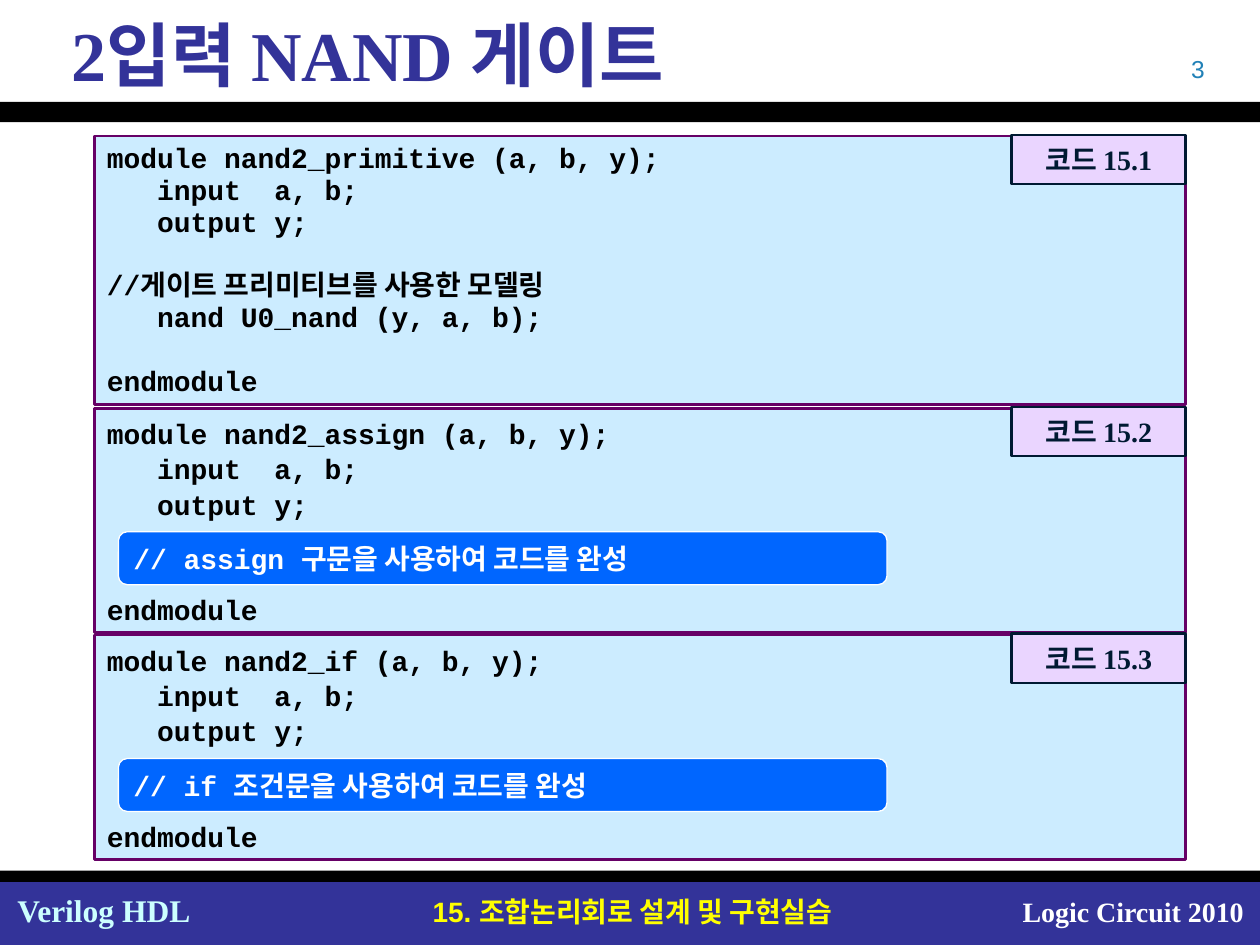
from dataclasses import dataclass
from typing import Optional

from pptx import Presentation
from pptx.dml.color import RGBColor
from pptx.enum.shapes import MSO_SHAPE
from pptx.enum.text import MSO_ANCHOR, PP_ALIGN
from pptx.util import Inches, Pt

RECT, ROUNDED = MSO_SHAPE.RECTANGLE, MSO_SHAPE.ROUNDED_RECTANGLE
LEFT, CENTER, RIGHT = PP_ALIGN.LEFT, PP_ALIGN.CENTER, PP_ALIGN.RIGHT
TOP, MIDDLE = MSO_ANCHOR.TOP, MSO_ANCHOR.MIDDLE

SANS, MONO, SERIF = "Arial", "Courier New", "Times New Roman"

BLACK = RGBColor(0x00, 0x00, 0x00)
WHITE = RGBColor(0xFF, 0xFF, 0xFF)
INDIGO = RGBColor(0x33, 0x33, 0x99)
YELLOW = RGBColor(0xFF, 0xFF, 0x00)
PALE_CYAN = RGBColor(0xCC, 0xFF, 0xFF)
TEAL = RGBColor(0x21, 0x81, 0xB7)
SKY = RGBColor(0xCC, 0xEC, 0xFF)
PURPLE = RGBColor(0x66, 0x00, 0x66)
LILAC = RGBColor(0xEA, 0xD5, 0xFF)
NAVY = RGBColor(0x00, 0x19, 0x32)
BLUE = RGBColor(0x00, 0x66, 0xFF)


@dataclass(frozen=True)
class Line:
    text: str
    gap_before: float = 0


@dataclass(frozen=True)
class Listing:
    number: str
    top: float
    height: float
    spacing: float
    lines: tuple[Line, ...]
    task: Optional[str] = None


PORTS = (Line("   input  a, b;"), Line("   output y;"))

LISTINGS = (
    Listing("15.1", 1.08, 2.13, 0.95, (
        Line("module nand2_primitive (a, b, y);"),
        *PORTS,
        Line("//게이트 프리미티브를 사용한 모델링", 18),
        Line("   nand U0_nand (y, a, b);"),
        Line("endmodule", 18),
    )),
    Listing("15.2", 3.24, 1.78, 1.05, (
        Line("module nand2_assign (a, b, y);"),
        *PORTS,
        Line("endmodule", 40),
    ), "// assign 구문을 사용하여 코드를 완성"),
    Listing("15.3", 5.04, 1.78, 1.05, (
        Line("module nand2_if (a, b, y);"),
        *PORTS,
        Line("endmodule", 40),
    ), "// if 조건문을 사용하여 코드를 완성"),
)


def write(holder, *lines: Line, font: str, color: RGBColor, size: float = 16,
          bold: bool = True, align=LEFT, anchor=MIDDLE, spacing: float = 1,
          inset_left: float = 0.1, inset_right: float = 0.1) -> None:
    frame = holder.text_frame
    frame.word_wrap = True
    frame.vertical_anchor = anchor
    frame.margin_left, frame.margin_right = Inches(inset_left), Inches(inset_right)
    frame.margin_top = frame.margin_bottom = Inches(0.05)
    for index, line in enumerate(lines):
        paragraph = frame.add_paragraph() if index else frame.paragraphs[0]
        paragraph.alignment = align
        paragraph.line_spacing = spacing
        paragraph.space_before = Pt(line.gap_before)
        run = paragraph.add_run()
        run.text = line.text
        run.font.name = font
        run.font.size = Pt(size)
        run.font.bold = bold
        run.font.color.rgb = color


def add_block(slide, left: float, top: float, width: float, height: float,
              fill: RGBColor, border: Optional[RGBColor] = None,
              border_width: float = 1.5, kind=RECT):
    block = slide.shapes.add_shape(
        kind, Inches(left), Inches(top), Inches(width), Inches(height))
    block.shadow.inherit = False
    block.fill.solid()
    block.fill.fore_color.rgb = fill
    if border is None:
        block.line.fill.background()
    else:
        block.line.color.rgb = border
        block.line.width = Pt(border_width)
    return block


def add_label(slide, left: float, top: float, width: float, height: float,
              text: str, **text_format) -> None:
    label = slide.shapes.add_textbox(
        Inches(left), Inches(top), Inches(width), Inches(height))
    write(label, Line(text), **text_format)


def add_listing(slide, listing: Listing) -> None:
    code = add_block(slide, 0.75, listing.top, 8.66, listing.height, SKY, PURPLE)
    write(code, *listing.lines, font=MONO, color=BLACK, spacing=listing.spacing)
    tag = add_block(slide, 8.03, listing.top - 0.01, 1.38, 0.39, LILAC, NAVY)
    write(tag, Line(f"코드 {listing.number}"), font=SERIF, color=NAVY, align=CENTER)
    if listing.task:
        task = add_block(slide, 0.94, listing.top + 0.98, 6.1, 0.42,
                         BLUE, WHITE, 0.75, ROUNDED)
        write(task, Line(listing.task), font=MONO, color=WHITE)


def main() -> None:
    presentation = Presentation()
    presentation.slide_width, presentation.slide_height = Inches(10), Inches(7.5)
    slide = presentation.slides.add_slide(presentation.slide_layouts[6])

    for top, height, color in ((7, 0.5, INDIGO), (0.81, 0.16, BLACK), (6.91, 0.09, BLACK)):
        add_block(slide, 0, top, 10, height, color)

    add_label(slide, 3.07, 7.05, 3.9, 0.37, "15. 조합논리회로 설계 및 구현실습",
              font=SANS, color=YELLOW, align=CENTER, anchor=TOP)
    add_label(slide, 7.88, 7.05, 2.09, 0.37, "Logic Circuit 2010",
              font=SERIF, color=WHITE, align=RIGHT, anchor=TOP)
    add_label(slide, 0.04, 7.02, 1.58, 0.4, "Verilog HDL",
              font=SERIF, color=PALE_CYAN, size=18, anchor=TOP, inset_right=0.02)
    add_label(slide, 7.33, 0.38, 2.33, 0.33, "3",
              font=SANS, color=TEAL, size=14, bold=False, align=RIGHT, anchor=TOP)
    add_label(slide, 0.17, 0.1, 9.67, 0.65, "2입력 NAND 게이트",
              font=SERIF, color=INDIGO, size=40, inset_left=0.4)

    for listing in LISTINGS:
        add_listing(slide, listing)

    presentation.save("out.pptx")


if __name__ == "__main__":
    main()
